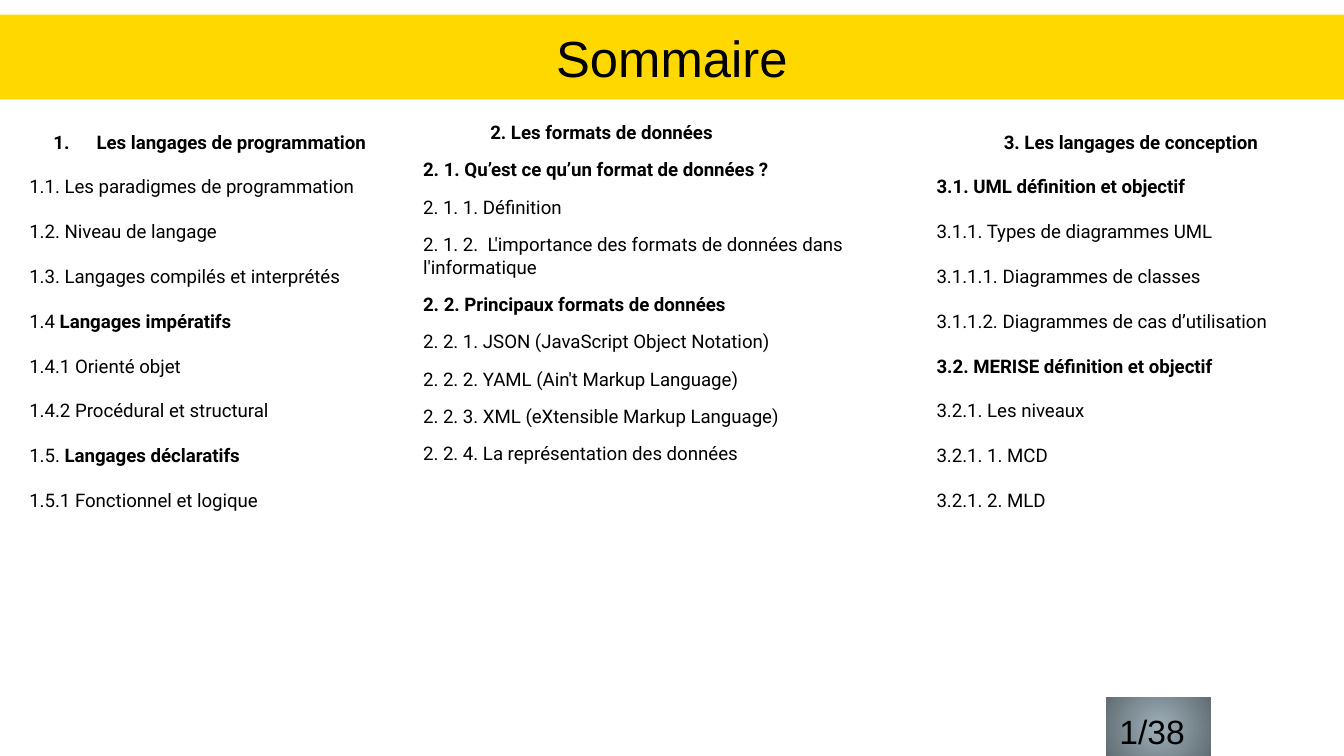
from lxml import etree
from pptx import Presentation
from pptx.dml.color import RGBColor
from pptx.enum.shapes import MSO_SHAPE
from pptx.enum.text import MSO_ANCHOR, PP_ALIGN
from pptx.oxml.ns import qn
from pptx.util import Inches, Pt

BLACK = RGBColor(0x00, 0x00, 0x00)
YELLOW = RGBColor(0xFF, 0xD8, 0x00)
LIGHT_GREY = RGBColor(0x9E, 0xAF, 0xB8)
DARK_GREY = RGBColor(0x61, 0x6D, 0x73)

# Each line is a list of (text, bold) spans.
LANGUAGES = [
    [("Les langages de programmation", True)],
    [("1.1. Les paradigmes de programmation", False)],
    [("1.2. Niveau de langage", False)],
    [("1.3. Langages compilés et interprétés", False)],
    [("1.4 ", False), ("Langages impératifs", True)],
    [("1.4.1 Orienté objet", False)],
    [("1.4.2 Procédural et structural", False)],
    [("1.5.", False), (" Langages déclaratifs", True)],
    [("1.5.1 Fonctionnel et logique", False)],
]
FORMATS = [
    [("2. Les formats de données", True)],
    [("2. 1. Qu’est ce qu’un format de données ?", True)],
    [("2. 1. 1. Définition", False)],
    [("2. 1. 2.  L'importance des formats de données dans l'informatique", False)],
    [("2. 2. Principaux formats de données", True)],
    [("2. 2. 1. JSON (JavaScript Object Notation)", False)],
    [("2. 2. 2. YAML (Ain't Markup Language)", False)],
    [("2. 2. 3. XML (eXtensible Markup Language)", False)],
    [("2. 2. 4. La représentation des données", False)],
]
DESIGN = [
    [("3. Les langages de conception", True)],
    [("3.1. UML définition et objectif", True)],
    [("3.1.1. Types de diagrammes UML", False)],
    [("3.1.1.1. Diagrammes de classes", False)],
    [("3.1.1.2. Diagrammes de cas d’utilisation", False)],
    [("3.2. MERISE définition et objectif", True)],
    [("3.2.1. Les niveaux", False)],
    [("3.2.1. 1. MCD", False)],
    [("3.2.1. 2. MLD", False)],
]


def set_margins(frame):
    frame.word_wrap = True
    frame.margin_left = frame.margin_right = Inches(0.1)
    frame.margin_top = frame.margin_bottom = Inches(0.1)


def style_font(font, name, size, bold=False):
    font.name = name
    font.size = Pt(size)
    font.bold = bold
    font.color.rgb = BLACK


def indent_heading(para, left, first_line, numbered):
    properties = para._p.get_or_add_pPr()
    properties.set("marL", str(Inches(left)))
    properties.set("indent", str(Inches(first_line)))
    if numbered:
        bullet = etree.SubElement(properties, qn("a:buAutoNum"))
        bullet.set("type", "arabicPeriod")


def add_column(page, area, lines, space, left=0, first_line=0.5, numbered=False):
    """Add one section of the summary; its first line is the indented heading."""
    box = page.shapes.add_textbox(*map(Inches, area))
    frame = box.text_frame
    set_margins(frame)
    for index, line in enumerate(lines):
        if index == 0:
            para = frame.paragraphs[0]
            indent_heading(para, left, first_line, numbered)
        else:
            para = frame.add_paragraph()
            para.space_before = Pt(space)
        for words, bold in line:
            span = para.add_run()
            span.text = words
            style_font(span.font, "Roboto", 10, bold)


def add_label(page, area, words, size, align, anchor):
    """Add a borderless rectangle with one line of Arial text."""
    box = page.shapes.add_shape(MSO_SHAPE.RECTANGLE, *map(Inches, area))
    box.shadow.inherit = False
    box.line.fill.background()
    frame = box.text_frame
    set_margins(frame)
    frame.vertical_anchor = anchor
    frame.text = words
    para = frame.paragraphs[0]
    para.alignment = align
    style_font(para.runs[0].font, "Arial", size)
    return box


def fill_radial(box, inner, outer):
    box.fill.gradient()
    for stop, colour in zip(box.fill.gradient_stops, (inner, outer)):
        stop.color.rgb = colour
    gradient = box._element.spPr.find(qn("a:gradFill"))
    linear = gradient.find(qn("a:lin"))
    circle = etree.Element(qn("a:path"), {"path": "circle"})
    centre = etree.SubElement(circle, qn("a:fillToRect"))
    for side in "ltrb":
        centre.set(side, "50000")
    gradient.replace(linear, circle)


def main():
    deck = Presentation()
    deck.slide_width = Inches(10)
    deck.slide_height = deck.slide_width * 9 // 16
    page = deck.slides.add_slide(deck.slide_layouts[6])

    add_column(page, (0.12, 0.87, 2.77, 4.25), LANGUAGES, 12,
               left=0.5, first_line=-0.32, numbered=True)
    title = add_label(page, (0, 0.11, 10, 0.63), "Sommaire", 27.2,
                      PP_ALIGN.CENTER, MSO_ANCHOR.MIDDLE)
    title.fill.solid()
    title.fill.fore_color.rgb = YELLOW
    page_number = add_label(page, (8.23, 5.19, 0.78, 0.44), "1/38", 18,
                            PP_ALIGN.LEFT, MSO_ANCHOR.TOP)
    fill_radial(page_number, LIGHT_GREY, DARK_GREY)
    add_column(page, (6.87, 0.87, 2.99, 3.61), DESIGN, 12)
    add_column(page, (3.05, 0.8, 3.44, 4.38), FORMATS, 8)

    deck.save("out.pptx")


if __name__ == "__main__":
    main()
